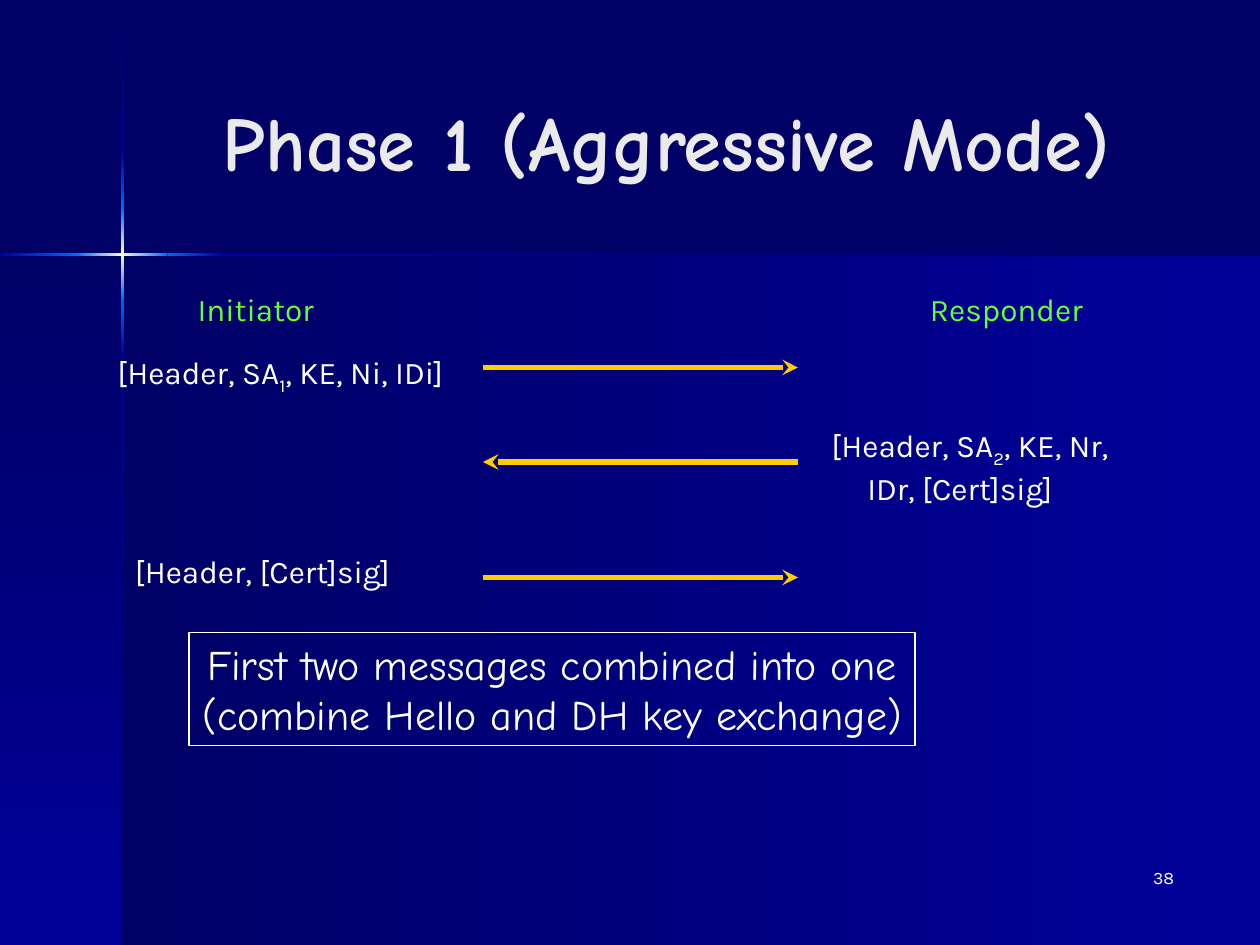
"""Build a slide on the aggressive mode of phase 1."""
from copy import deepcopy

from pptx import Presentation
from pptx.dml.color import RGBColor
from pptx.enum.shapes import MSO_CONNECTOR, MSO_SHAPE
from pptx.enum.text import MSO_ANCHOR, MSO_AUTO_SIZE, PP_ALIGN
from pptx.oxml.ns import qn
from pptx.oxml.xmlchemy import OxmlElement
from pptx.util import Pt

RECT, LINE = MSO_SHAPE.RECTANGLE, MSO_CONNECTOR.STRAIGHT
LEFT, MID, RIGHT = PP_ALIGN.LEFT, PP_ALIGN.CENTER, PP_ALIGN.RIGHT
TOP, CENTER = MSO_ANCHOR.TOP, MSO_ANCHOR.MIDDLE
GROW, FIXED = MSO_AUTO_SIZE.SHAPE_TO_FIT_TEXT, MSO_AUTO_SIZE.NONE

DARK = RGBColor(0x00, 0x00, 0x66)
BLUE = RGBColor(0x00, 0x00, 0x99)
BRIGHT = RGBColor(0x00, 0x66, 0xFF)
GLOW = RGBColor(0xFF, 0xFF, 0xCC)
PALE = RGBColor(0xEA, 0xEA, 0xEA)
WHITE = RGBColor(0xFF, 0xFF, 0xFF)
GREEN = RGBColor(0x66, 0xFF, 0x33)
GOLD = RGBColor(0xFF, 0xCC, 0x00)

BODY = dict(name="Karla", size=Pt(18), color=WHITE)
ROLE = {**BODY, "color": GREEN}
PAGE = {**BODY, "size": Pt(10)}
TITLE = dict(name="Comic Neue", size=Pt(44), bold=True, color=PALE)
NOTE = dict(name="Comic Neue", size=Pt(24), color=WHITE)


class Deck:
    def __init__(self, width, height, back):
        self.show = Presentation()
        self.show.slide_width, self.show.slide_height = Pt(width), Pt(height)
        self.slide = self.show.slides.add_slide(self.show.slide_layouts[6])
        self.shapes = self.slide.shapes
        fill = self.slide.background.fill
        fill.solid()
        fill.fore_color.rgb = back

    def rect(self, *box):
        shape = self.shapes.add_shape(RECT, *map(Pt, box))
        shape.shadow.inherit = False
        return shape

    def fade(self, box, colors, angle=0):
        shape = self.rect(*box)
        shape.line.fill.background()
        fill = shape.fill
        fill.gradient()
        fill.gradient_angle = angle
        stops = next(shape.element.iter(qn("a:gsLst")))
        for _ in colors[2:]:
            stops.append(deepcopy(stops[-1]))
        for i, (stop, color) in enumerate(zip(fill.gradient_stops, colors)):
            stop.position = i / (len(colors) - 1)
            stop.color.rgb = color

    def label(self, shape, lines, style, align=LEFT, anchor=TOP, wrap=False):
        frame = shape.text_frame
        form = dict(word_wrap=wrap, vertical_anchor=anchor,
                    auto_size=FIXED if wrap else GROW)
        for key, value in form.items():
            setattr(frame, key, value)
        for i, line in enumerate(lines):
            para = frame.add_paragraph() if i else frame.paragraphs[0]
            para.alignment = align
            for j, part in enumerate(line.split("_")):
                run = para.add_run()
                run.text = part
                self.style(run.font, style)
                if j == 1:
                    run.font._element.set("baseline", "-25000")
        return frame

    def style(self, font, form):
        for key, value in form.items():
            if key == "color":
                font.color.rgb = value
            else:
                setattr(font, key, value)

    def text(self, box, lines, style, **form):
        shape = self.shapes.add_textbox(*map(Pt, box))
        return self.label(shape, lines, style, **form)

    def frame(self, box, lines, style, **form):
        shape = self.rect(*box)
        shape.fill.background()
        shape.line.color.rgb = WHITE
        shape.line.width = Pt(0.75)
        self.label(shape, lines, style, **form)

    def arrow(self, start, end, y):
        line = self.shapes.add_connector(LINE, Pt(start), Pt(y), Pt(end), Pt(y))
        line.line.color.rgb = GOLD
        line.line.width = Pt(3)
        tip = OxmlElement("a:tailEnd")
        tip.set("type", "stealth")
        line.line._get_or_add_ln().append(tip)
        line._element.spPr.append(OxmlElement("a:effectLst"))


deck = Deck(720, 540, DARK)
deck.fade((70, 145.5, 650, 394.5), (DARK, BLUE))
deck.fade((0, 145.5, 70, 394.5), (DARK, BLUE), 270)

beam = [(DARK, BLUE), (BLUE, BRIGHT), (BRIGHT, GLOW, BRIGHT),
        (BRIGHT, BLUE), (BLUE, DARK)]
rows = [0.7, 87.1, 118.8, 171.4, 203, 540]
cols = [0, 43.6, 95.8, 127.4, 720]
for top, end, colors in zip(rows, rows[1:], beam):
    deck.fade((69.2, top, 1.5, end - top), colors, 270)
for left, end, colors in zip(cols, cols[1:], beam[1:]):
    deck.fade((left, 144.7, end - left, 1.5), colors)

deck.text((84, 24, 594, 113), ["Phase 1 (Aggressive Mode)"], TITLE,
          align=MID, anchor=CENTER, wrap=True)
deck.text((105.8, 162, 82, 28.8), ["Initiator"], ROLE)
deck.text((524.3, 162, 106, 28.8), ["Responder"], ROLE)
deck.text((60, 198, 216.5, 31.7), ["[Header, SA_1_, KE, Ni, IDi]"], BODY)
reply = deck.text((468, 240, 190, 53.3),
                  ["[Header, SA_2_, KE, Nr,", "IDr, [Cert]sig]"], BODY)
reply.paragraphs[1]._p.get_or_add_pPr().set("marL", str(Pt(20.5)))
deck.text((70, 312, 169, 28.8), ["[Header, [Cert]sig]"], BODY)

for start, end, y in [(276, 456, 210), (456, 276, 264), (276, 456, 330)]:
    deck.arrow(start, end, y)

deck.frame((108, 361.3, 415, 64.8),
           ["First two messages combined into one",
            "(combine Hello and DH key exchange)"], NOTE, align=MID)
deck.text((528, 492, 150, 36), ["38"], PAGE, align=RIGHT, wrap=True)
deck.show.save("out.pptx")
